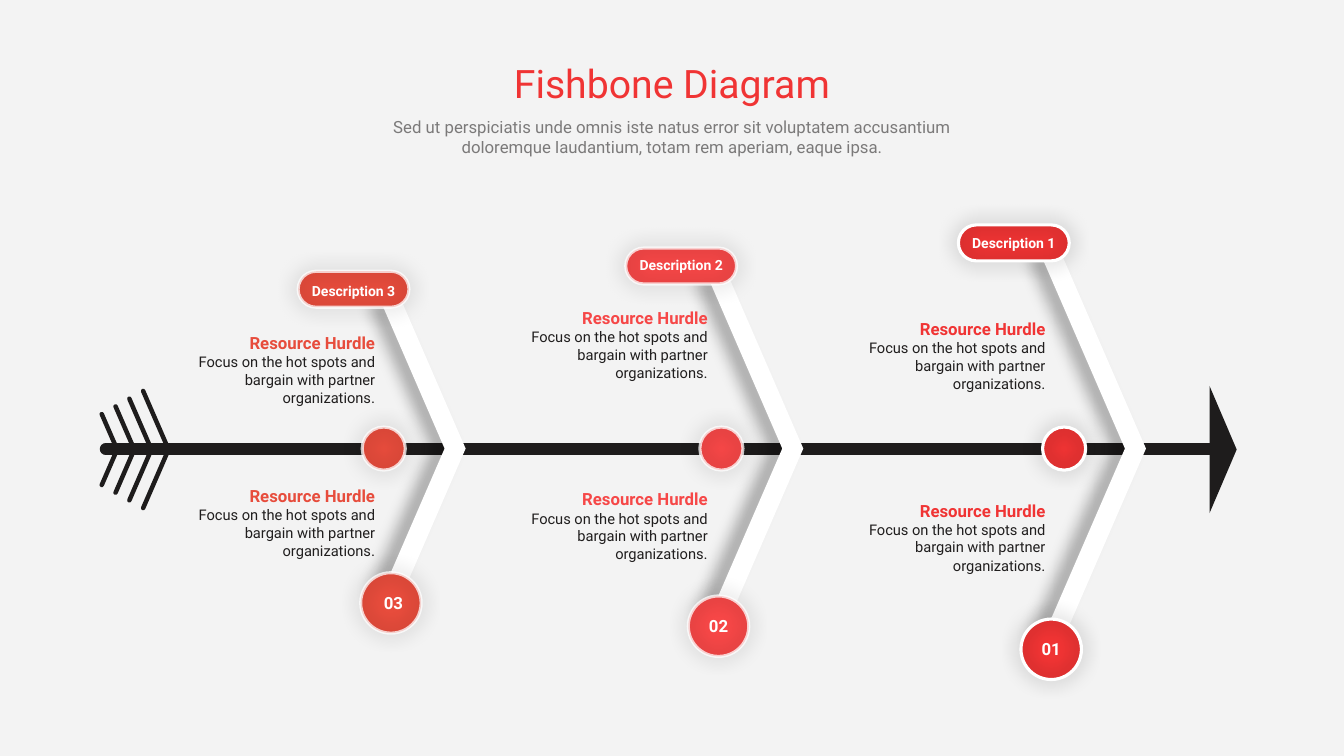
"""Build a three-rib fishbone diagram slide."""
from pptx import Presentation
from pptx.dml.color import RGBColor
from pptx.enum.shapes import MSO_CONNECTOR, MSO_SHAPE
from pptx.enum.text import MSO_ANCHOR, MSO_AUTO_SIZE, PP_ALIGN
from pptx.oxml.ns import qn
from pptx.oxml.xmlchemy import OxmlElement
from pptx.util import Pt

TITLE = "Fishbone Diagram"
SUBTITLE = ("Sed ut perspiciatis unde omnis iste natus error sit voluptatem "
            "accusantium doloremque laudantium, totam rem aperiam, eaque ipsa.")
HEADING = "Resource Hurdle"
BODY = "Focus on the hot spots and bargain with partner organizations"
COLORS = {
    "background": "F3F3F3", "text": "201E1E", "spine": "1E1C1C", "white": "FFFFFF",
    "red": "F03434", "coral": "F64747", "brick": "E74C3C",
}
RIBS = [
    {"label": "Description 1", "number": "01", "color": "red", "tip": 818.6, "reach": 145.4,
     "ring_alpha": 100, "text_left": 607, "text_tops": (223.9, 353.5),
     "label_shift": 0, "number_shift": 0},
    {"label": "Description 2", "number": "02", "color": "coral", "tip": 573.8, "reach": 128.9,
     "ring_alpha": 74, "text_left": 365.8, "text_tops": (216, 345.6),
     "label_shift": -1, "number_shift": 0},
    {"label": "Description 3", "number": "03", "color": "brick", "tip": 332.6, "reach": 112.3,
     "ring_alpha": 74, "text_left": 128.2, "text_tops": (234, 343.4),
     "label_shift": 1, "number_shift": 1.8},
]

AXIS = 320.4
SLOPE = 0.434
RIB_WIDTH = 15
TAIL_X, HEAD_X, POINT_X = 75.6, 864, 883.4
HEAD_HALF = 45.4
FEATHERS, FEATHER_ROOT, FEATHER_STEP = 4, 120.4, 12.24
FEATHER_REACH, FEATHER_SHRINK = 41.8, 5.5
PILL_WIDTH, PILL_HEIGHT = 79.2, 25.7
BADGE, DOT = 43.2, 30.8


def rgb(name):
    return RGBColor.from_string(COLORS[name])


def set_alpha(color_parent, percent):
    alpha = OxmlElement("a:alpha")
    alpha.set("val", str(percent * 1000))
    next(color_parent.iter(qn("a:srgbClr"))).append(alpha)


def add_shadow(shape, percent, blur, distance=0, degrees=0):
    shape.shadow.inherit = False
    shadow = OxmlElement("a:outerShdw")
    for key, value in (("blurRad", Pt(blur)), ("dist", Pt(distance)),
                       ("dir", degrees * 60000), ("algn", "ctr"), ("rotWithShape", 0)):
        shadow.set(key, str(value))
    color = OxmlElement("a:srgbClr")
    color.set("val", "000000")
    shadow.append(color)
    set_alpha(shadow, percent)
    shape.element.spPr.find(qn("a:effectLst")).append(shadow)


def add_run(paragraph, text, size, color, bold=False):
    run = paragraph.add_run()
    run.text = text
    run.font.name = "Roboto"
    run.font.size = Pt(size)
    run.font.bold = bold
    run.font.color.rgb = rgb(color)
    return run


def format_frame(shape, anchor, alignment):
    frame = shape.text_frame
    frame.word_wrap = True
    frame.auto_size = MSO_AUTO_SIZE.NONE
    frame.vertical_anchor = anchor
    frame.paragraphs[0].alignment = alignment
    return frame


def add_text_box(slide, left, top, width, height, anchor=MSO_ANCHOR.MIDDLE,
                 alignment=PP_ALIGN.CENTER):
    box = slide.shapes.add_textbox(Pt(left), Pt(top), Pt(width), Pt(height))
    return format_frame(box, anchor, alignment)


def add_centred_text(slide, x, y, width, height, text, size):
    frame = add_text_box(slide, x - width / 2, y - height / 2, width, height)
    add_run(frame.paragraphs[0], text, size, "white", bold=True)


def add_polygon(slide, points, color):
    corners = [(Pt(x), Pt(y)) for x, y in points]
    builder = slide.shapes.build_freeform(*corners[0], scale=1.0)
    builder.add_line_segments(corners[1:], close=True)
    shape = builder.convert_to_shape()
    shape.fill.solid()
    shape.fill.fore_color.rgb = rgb(color)
    shape.line.fill.background()
    shape.shadow.inherit = False
    return shape


def add_round_line(slide, x1, y1, x2, y2, width):
    line = slide.shapes.add_connector(MSO_CONNECTOR.STRAIGHT, Pt(x1), Pt(y1), Pt(x2), Pt(y2))
    line.line.color.rgb = rgb("spine")
    line.line.width = Pt(width)
    properties = line.element.spPr
    properties.find(qn("a:ln")).set("cap", "rnd")
    properties.append(OxmlElement("a:effectLst"))


def add_ringed_shape(slide, kind, x, y, width, height, color, ring_alpha):
    box = (Pt(x - width / 2), Pt(y - height / 2), Pt(width), Pt(height))
    disc = slide.shapes.add_shape(kind, *box)
    disc.fill.solid()
    disc.fill.fore_color.rgb = rgb(color)
    disc.line.fill.background()
    disc.shadow.inherit = False
    ring = slide.shapes.add_shape(kind, *box)
    ring.fill.background()
    ring.line.color.rgb = rgb("white")
    ring.line.width = Pt(2.25)
    set_alpha(ring.element.spPr.find(qn("a:ln")), ring_alpha)
    add_shadow(ring, 51, 14)
    if kind == MSO_SHAPE.ROUNDED_RECTANGLE:
        disc.adjustments[0] = ring.adjustments[0] = 0.5


def add_spine(slide):
    add_round_line(slide, TAIL_X, AXIS + 0.4, HEAD_X, AXIS + 0.4, 8.6)
    middle = AXIS + 0.7
    add_polygon(slide, [(HEAD_X, middle - HEAD_HALF), (POINT_X, middle),
                        (HEAD_X, middle + HEAD_HALF)], "spine")
    for index in range(FEATHERS):
        root = FEATHER_ROOT - index * FEATHER_STEP
        reach = FEATHER_REACH - index * FEATHER_SHRINK
        for side in (-1, 1):
            add_round_line(slide, root, middle, root - SLOPE * reach, middle + side * reach, 3.2)


def add_rib(slide, rib):
    tip, reach, color, alpha = rib["tip"], rib["reach"], rib["color"], rib["ring_alpha"]
    outer, inner = reach - 4, reach - 10
    inner_tip = tip - RIB_WIDTH
    bone = add_polygon(slide, [
        (tip, AXIS), (tip - SLOPE * outer, AXIS + outer),
        (inner_tip - SLOPE * inner, AXIS + inner), (inner_tip, AXIS),
        (inner_tip - SLOPE * inner, AXIS - inner), (tip - SLOPE * outer, AXIS - outer)], "white")
    add_shadow(bone, 29, 11, 10, 180)

    badge_x, badge_y = tip - SLOPE * reach - 4.6, AXIS + reach - 2
    pill_x, pill_y = badge_x - 26.7, AXIS - reach - 1.5
    add_ringed_shape(slide, MSO_SHAPE.OVAL, tip - 58.5, AXIS, DOT, DOT, color, alpha)
    add_ringed_shape(slide, MSO_SHAPE.ROUNDED_RECTANGLE, pill_x, pill_y,
                     PILL_WIDTH, PILL_HEIGHT, color, alpha)
    add_ringed_shape(slide, MSO_SHAPE.OVAL, badge_x, badge_y, BADGE, BADGE, color, alpha)

    for top in rib["text_tops"]:
        frame = add_text_box(slide, rib["text_left"], top, 146.9, 60.5, alignment=PP_ALIGN.RIGHT)
        add_run(frame.paragraphs[0], HEADING, 12, color, bold=True)
        paragraph = frame.add_paragraph()
        paragraph.alignment = PP_ALIGN.RIGHT
        add_run(paragraph, BODY, 10.5, "text")
        add_run(paragraph, ".", 11, "text")
    add_centred_text(slide, pill_x, pill_y + rib["label_shift"], 75, 19.4, rib["label"], 10)
    add_centred_text(slide, badge_x + rib["number_shift"], badge_y, 34, 21.6, rib["number"], 12)


def main():
    presentation = Presentation()
    presentation.slide_width, presentation.slide_height = Pt(960), Pt(540)
    slide = presentation.slides.add_slide(presentation.slide_layouts[5])
    slide.background.fill.solid()
    slide.background.fill.fore_color.rgb = rgb("background")

    title = slide.shapes.title
    title.left, title.top, title.width, title.height = Pt(233.3), Pt(38.9), Pt(493.2), Pt(41)
    frame = format_frame(title, MSO_ANCHOR.BOTTOM, PP_ALIGN.CENTER)
    add_run(frame.paragraphs[0], TITLE, 28, "red")
    frame = add_text_box(slide, 242.6, 79.9, 475.2, 36, anchor=MSO_ANCHOR.TOP)
    run = add_run(frame.paragraphs[0], SUBTITLE, 12, "text")
    set_alpha(run.font.fill._xPr, 56)

    add_spine(slide)
    for rib in RIBS:
        add_rib(slide, rib)
    presentation.save("out.pptx")


if __name__ == "__main__":
    main()
